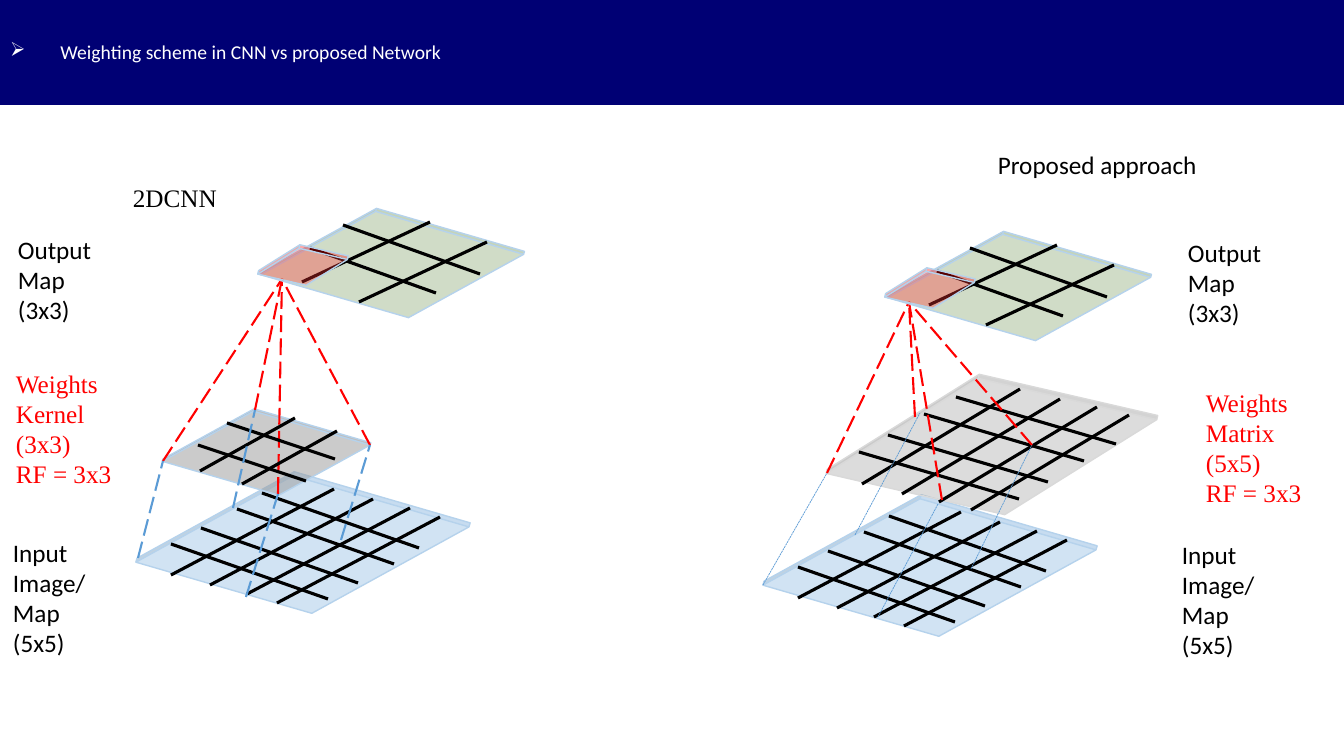
import dataclasses

import lxml.etree
import pptx
import pptx.dml.color
import pptx.enum.dml
import pptx.enum.shapes
import pptx.enum.text
import pptx.oxml
import pptx.oxml.ns
import pptx.util

PIXEL = 914400 / 100.8
DASH = pptx.enum.dml.MSO_LINE


@dataclasses.dataclass(frozen=True)
class Theme:
    """Colours, fonts, type sizes and line formats of the slide."""
    navy: str = "000074"
    white: str = "FFFFFF"
    black: str = "000000"
    red: str = "FF0000"
    blue: str = "5B9BD5"
    pale_blue: str = "B5D2EC"
    gray: str = "808080"
    pale_gray: str = "D9D9D9"
    green: str = "548235"
    sans: str = "Calibri"
    serif: str = "Times New Roman"
    title_size: int = 14
    label_size: int = 18
    edge: float = 1
    grid: float = 2.25
    ray: float = 1.5
    hairline: float = 0.5


def emu(pixels):
    """Turn pixels into EMU."""
    return pptx.util.Emu(round(pixels * PIXEL))


def rgb(colour):
    """Turn a hex string into a colour."""
    return pptx.dml.color.RGBColor.from_string(colour)


def assign(target, values):
    """Set attributes of an object from a dict."""
    for name, value in values.items():
        setattr(target, name, value)


def shifted(points, offset):
    """Move a list of points by an offset."""
    return [(x + offset[0], y + offset[1]) for x, y in points]


class SlideBuilder:
    """Holds the theme and the slide, and draws each kind of element."""

    def __init__(self, slide, theme):
        """Keep the slide and its theme."""
        self.slide = slide
        self.theme = theme

    def style_outline(self, line, colour, width, dash=None):
        """Format a line or an outline."""
        line.color.rgb = rgb(colour)
        assign(line, {"width": pptx.util.Pt(width), "dash_style": dash})

    def fill_text(self, frame, paragraphs, font, size, colour):
        """Fill a text frame with left-aligned paragraphs."""
        frame.text = "\n".join(paragraphs)
        for paragraph in frame.paragraphs:
            paragraph.alignment = pptx.enum.text.PP_ALIGN.LEFT
            assign(paragraph.font, {"name": font, "size": pptx.util.Pt(size)})
            paragraph.font.color.rgb = rgb(colour)

    def title(self, text, box):
        """Turn the title placeholder into a bulleted header band."""
        shape = self.slide.shapes.title
        assign(shape, dict(zip(("left", "top", "width", "height"), map(emu, box))))
        shape.fill.solid()
        shape.fill.fore_color.rgb = rgb(self.theme.navy)
        self.style_outline(shape.line, self.theme.navy, self.theme.edge)
        frame = shape.text_frame
        assign(frame, {"vertical_anchor": pptx.enum.text.MSO_ANCHOR.MIDDLE,
                       "auto_size": pptx.enum.text.MSO_AUTO_SIZE.NONE,
                       "word_wrap": True})
        self.fill_text(frame, [text], self.theme.sans, self.theme.title_size,
                       self.theme.white)
        properties = frame.paragraphs[0]._p.get_or_add_pPr()
        indent = pptx.util.Inches(0.5)
        properties.set("marL", str(indent))
        properties.set("indent", str(-indent))
        bullet = pptx.oxml.parse_xml(
            f'<a:buChar {pptx.oxml.ns.nsdecls("a")} char="\u27a2"/>')
        properties.insert_element_before(bullet, "a:tabLst", "a:defRPr", "a:extLst")

    def label(self, paragraphs, box, colour=None, font=None, wrap=True):
        """Add a text box."""
        frame = self.slide.shapes.add_textbox(*map(emu, box)).text_frame
        frame.word_wrap = wrap
        self.fill_text(frame, paragraphs, font or self.theme.sans,
                       self.theme.label_size, colour or self.theme.black)

    def plane(self, box, fill, outline, opacity=34, rotation=196.2, depth=0.968):
        """Add a flat translucent cube that reads as a tilted plane."""
        shape = self.slide.shapes.add_shape(
            pptx.enum.shapes.MSO_SHAPE.CUBE, *map(emu, box))
        shape.shadow.inherit = False
        shape.rotation = rotation
        shape.adjustments[0] = depth
        shape.fill.solid()
        shape.fill.fore_color.rgb = rgb(fill)
        colour = shape._element.spPr.find(".//" + pptx.oxml.ns.qn("a:srgbClr"))
        alpha = lxml.etree.SubElement(colour, pptx.oxml.ns.qn("a:alpha"))
        alpha.set("val", str(opacity * 1000))
        self.style_outline(shape.line, outline, self.theme.edge)

    def line(self, start, end, colour, width, dash=None):
        """Add a straight connector."""
        connector = self.slide.shapes.add_connector(
            pptx.enum.shapes.MSO_CONNECTOR.STRAIGHT, *map(emu, (*start, *end)))
        self.style_outline(connector.line, colour, width, dash)
        lxml.etree.SubElement(connector._element.spPr, pptx.oxml.ns.qn("a:effectLst"))

    def grid(self, families, offset=(0, 0)):
        """Draw families of parallel grid lines: a direction and start points."""
        for direction, starts in families:
            for start in shifted(starts, offset):
                end = (start[0] + direction[0], start[1] + direction[1])
                self.line(start, end, self.theme.black, self.theme.grid)

    def rays(self, apex, corners):
        """Join one output cell to the corners of its weights."""
        for corner in corners:
            self.line(corner, apex, self.theme.red, self.theme.ray, DASH.LONG_DASH)

    def projections(self, ends, corners, width, dash):
        """Join input positions to the matching weight corners."""
        for end, corner in zip(ends, corners):
            self.line(end, corner, self.theme.blue, width, dash)

    def input_map(self, offset):
        """Draw the 5x5 input map."""
        x, y = offset
        self.plane((148 + x, 477 + y, 310, 131), self.theme.blue, self.theme.pale_blue)
        self.grid(INPUT_GRID, offset)

    def output_map(self, offset):
        """Draw the 3x3 output map with its highlighted cell."""
        x, y = offset
        self.plane((269 + x, 215 + y, 247, 96), self.theme.green, self.theme.pale_blue)
        self.grid(OUTPUT_GRID, offset)
        self.plane((261 + x, 246 + y, 84, 38), self.theme.red, self.theme.pale_blue,
                   rotation=193, depth=0.906)


INPUT_GRID = [
    ((163, -86), [(171, 575), (210, 585), (247, 594), (277, 603)]),
    ((-157, -55), [(328, 599), (358, 583), (394, 564), (419, 548)]),
]
OUTPUT_GRID = [
    ((128, -60), [(359, 302), (302, 282)]),
    ((-126, -45), [(436, 293)]),
    ((-137, -49), [(480, 274)]),
]
KERNEL_GRID = [
    ((95, -53), [(242, 484), (200, 471)]),
    ((-108, -36), [(306, 481), (335, 459)]),
]
MATRIX_GRID = [
    ((158, -95), [(862, 484), (902, 494), (939, 502), (971, 510)]),
    ((-160, -47), [(1019, 499), (1048, 482), (1084, 461), (1116, 444)]),
]
CNN, PROPOSED = (0, 0), (627, 23)


def main():
    """Build and save the slide."""
    presentation = pptx.Presentation()
    presentation.slide_width, presentation.slide_height = emu(1344), emu(756)
    slide = presentation.slides.add_slide(presentation.slide_layouts[5])
    theme = Theme()
    builder = SlideBuilder(slide, theme)
    builder.title("Weighting scheme in CNN vs proposed Network", (0, 0, 1344, 104))

    builder.input_map(PROPOSED)
    builder.plane((837, 379, 310, 131), theme.gray, theme.pale_gray, rotation=193)
    builder.grid(MATRIX_GRID)
    builder.projections([(763, 585), (878, 617), (855, 535), (971, 569)],
                        [(827, 473), (938, 504), (920, 413), (1032, 445)],
                        theme.hairline, DASH.SQUARE_DOT)
    builder.rays((909, 302), [(942, 500), (1032, 445), (915, 417), (827, 473)])
    builder.output_map(PROPOSED)

    kernel_corners = [(163, 461), (278, 494), (370, 445), (255, 410)]
    builder.input_map(CNN)
    builder.plane((169, 414, 195, 76), theme.gray, theme.pale_blue, opacity=50)
    builder.rays((282, 279), kernel_corners)
    builder.output_map(CNN)
    builder.grid(KERNEL_GRID)
    builder.projections([(138, 558), (246, 597), (341, 540), (233, 508)],
                        kernel_corners, theme.ray, DASH.LONG_DASH)

    for x, y in ((3, 532), (1172, 534)):
        builder.label(["Input Image/ Map", "(5x5)"], (x, y, 134, 132))
    for x, y in ((8, 229), (1178, 232)):
        builder.label(["Output Map", "(3x3)"], (x, y, 134, 102))
    builder.label(["Weights Kernel", "(3x3)", "RF = 3x3"], (6, 363, 134, 132),
                  theme.red, theme.serif)
    builder.label(["Weights Matrix (5x5)", "RF = 3x3"], (1196, 382, 134, 132),
                  theme.red, theme.serif)
    builder.label(["2DCNN"], (123, 177, 105, 40), font=theme.serif, wrap=False)
    builder.label(["Proposed approach"], (988, 144, 219, 72))
    presentation.save("out.pptx")


main()
